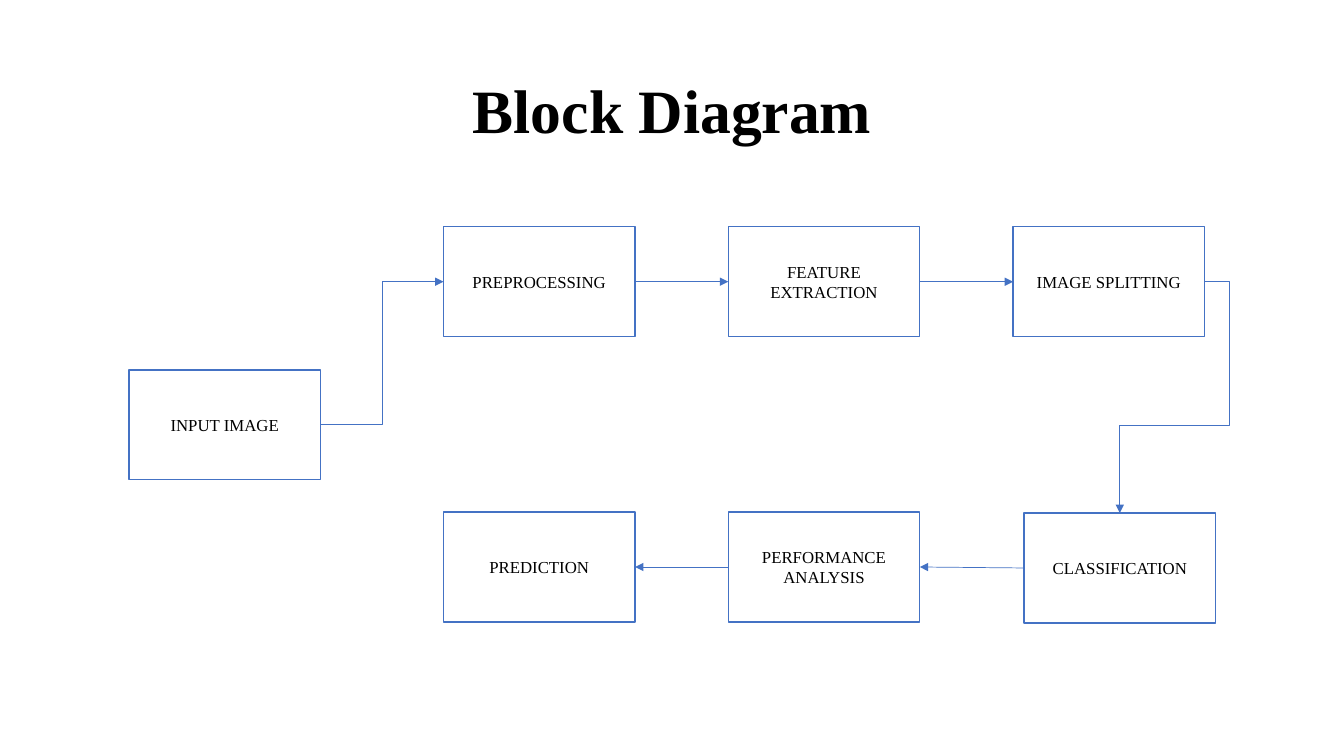
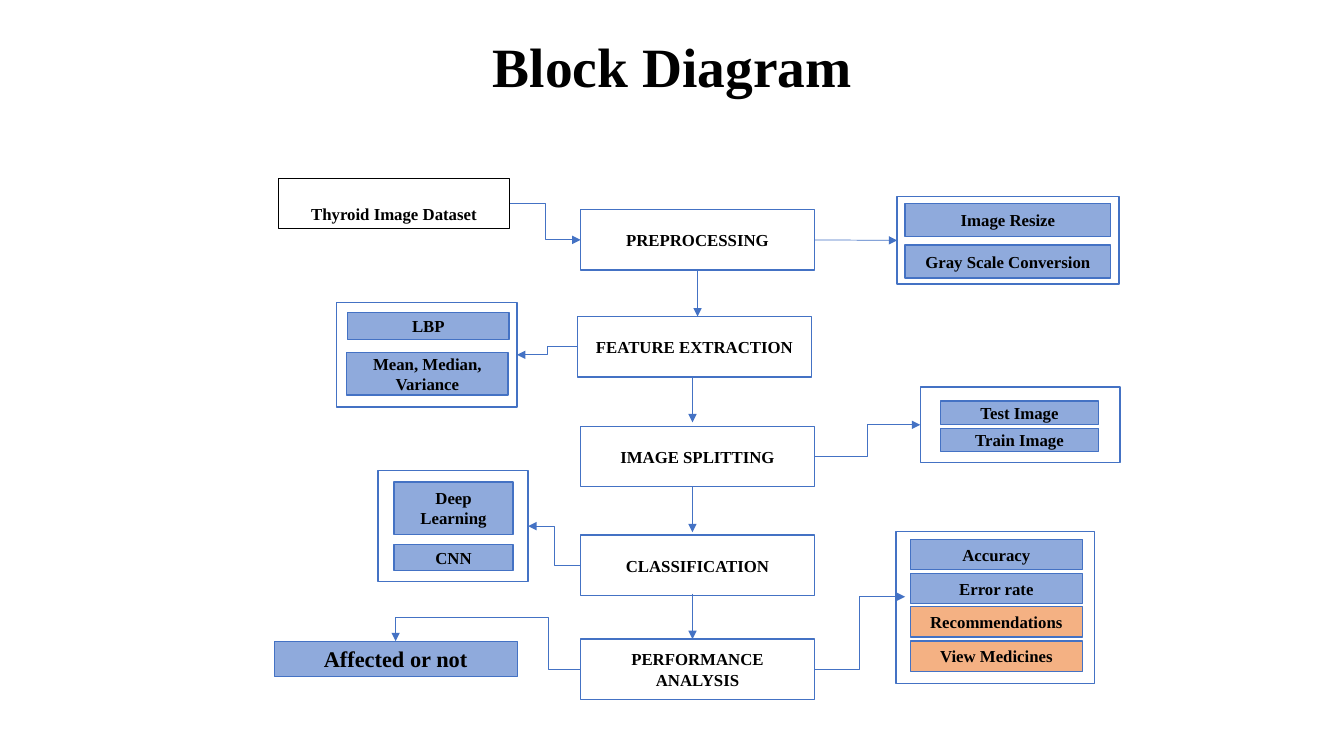
from dataclasses import dataclass
from typing import NamedTuple

from lxml import etree
from pptx import Presentation
from pptx.dml.color import RGBColor
from pptx.enum.shapes import MSO_CONNECTOR, MSO_SHAPE
from pptx.enum.text import MSO_ANCHOR, PP_ALIGN
from pptx.oxml.ns import qn
from pptx.util import Inches, Pt

STRAIGHT, ELBOW = MSO_CONNECTOR.STRAIGHT, MSO_CONNECTOR.ELBOW
RECTANGLE = MSO_SHAPE.RECTANGLE
MIDDLE, BOTTOM_ANCHOR = MSO_ANCHOR.MIDDLE, MSO_ANCHOR.BOTTOM
CENTER = PP_ALIGN.CENTER
TOP, LEFT, BOTTOM, RIGHT = range(4)

CELL = Inches(0.1)
COLUMNS, ROWS = 133.33, 75
FONT = "Times New Roman"
COLORS = {"ink": "000000", "paper": "FFFFFF", "line": "4472C4",
          "blue": "8FAADC", "orange": "F4B183"}


@dataclass(frozen=True)
class Block:
    text: str
    left: float
    top: float
    width: float
    height: float
    fill: str = "paper"
    line: str = "line"
    weight: float = 1
    size: float = 12
    bold: bool = True
    anchor: MSO_ANCHOR = MIDDLE
    name: str = ""


class Port(NamedTuple):
    block: str
    side: int


class Point(NamedTuple):
    column: float
    row: float


@dataclass(frozen=True)
class Arrow:
    start: Port | Point
    end: Port | Point
    kind: MSO_CONNECTOR = STRAIGHT
    bends: tuple[int, ...] = ()


def cells(count: float) -> int:
    return round(count * CELL)


def color(name: str) -> RGBColor:
    return RGBColor.from_string(COLORS[name])


def write(box, text: str, size: float, bold: bool, anchor: MSO_ANCHOR):
    frame = box.text_frame
    frame.word_wrap = True
    frame.vertical_anchor = anchor
    frame.text = text
    para = frame.paragraphs[0]
    para.alignment = CENTER
    for span in para.runs:
        span.font.name = FONT
        span.font.size = Pt(size)
        span.font.bold = bold
        span.font.color.rgb = color("ink")
    return para


def draw_title(page, height: float, size: float) -> None:
    box = page.shapes.add_textbox(cells(9.2), cells(4), cells(115), cells(height))
    para = write(box, "Block Diagram", size, True, MIDDLE)
    para.line_spacing = 0.9


def draw_block(page, block: Block):
    box = page.shapes.add_shape(RECTANGLE, cells(block.left), cells(block.top),
                                cells(block.width), cells(block.height))
    box.shadow.inherit = False
    box.fill.solid()
    box.fill.fore_color.rgb = color(block.fill)
    box.line.color.rgb = color(block.line)
    box.line.width = Pt(block.weight)
    if block.text:
        write(box, block.text, block.size, block.bold, block.anchor)
    return box


def draw_arrow(page, boxes: dict, arrow: Arrow) -> None:
    start, end = (
        (0, 0) if isinstance(place, Port) else (cells(place.column), cells(place.row))
        for place in (arrow.start, arrow.end))
    connector = page.shapes.add_connector(arrow.kind, *start, *end)
    for place, join in ((arrow.start, connector.begin_connect),
                        (arrow.end, connector.end_connect)):
        if isinstance(place, Port):
            join(boxes[place.block], place.side)
    connector.line.color.rgb = color("line")
    connector.line.width = Pt(0.5)
    properties = connector._element.spPr
    etree.SubElement(properties.find(qn("a:ln")), qn("a:tailEnd"), type="triangle")
    etree.SubElement(properties, qn("a:effectLst"))
    frame = properties.find(qn("a:xfrm"))
    if frame.get("flipH") == "1" and frame.get("flipV") == "1":
        del frame.attrib["flipH"], frame.attrib["flipV"]
        frame.set("rot", "10800000")
    if arrow.bends:
        geometry = properties.find(qn("a:prstGeom"))
        geometry.set("prst", "bentConnector4")
        guides = geometry.find(qn("a:avLst"))
        for number, bend in enumerate(arrow.bends, 1):
            etree.SubElement(guides, qn("a:gd"), name=f"adj{number}", fmla=f"val {bend}")


def draw_diagram(page, blocks: list[Block], arrows: list[Arrow]) -> None:
    boxes = {block.name or block.text: draw_block(page, block) for block in blocks}
    for arrow in arrows:
        draw_arrow(page, boxes, arrow)


def stack(texts: list[str], left: float, top: float, width: float, height: float,
          pitch: float, fill: str = "blue") -> list[Block]:
    return [Block(text, left, top + index * pitch, width, height, fill)
            for index, text in enumerate(texts)]


def panel(name: str, left: float, top: float, width: float, height: float) -> Block:
    return Block("", left, top, width, height, name=name)


PREPROCESSING, FEATURES, SPLITTING = "PREPROCESSING", "FEATURE EXTRACTION", "IMAGE SPLITTING"
CLASSIFICATION, ANALYSIS = "CLASSIFICATION", "PERFORMANCE ANALYSIS"
INPUT, PREDICTION = "INPUT IMAGE", "PREDICTION"
DATASET, RESULT = "Thyroid Image Dataset", "Affected or not"

PIPELINE_BLOCKS = [
    Block(text, left, top, 19, 10.9, bold=False)
    for text, left, top in (
        (PREPROCESSING, 44, 22.5), (FEATURES, 72.25, 22.5), (SPLITTING, 100.5, 22.5),
        (CLASSIFICATION, 101.6, 50.9), (ANALYSIS, 72.25, 50.8), (PREDICTION, 44, 50.8),
        (INPUT, 12.8, 36.7))
]
PIPELINE_ARROWS = [
    Arrow(Port(INPUT, RIGHT), Port(PREPROCESSING, LEFT), ELBOW),
    Arrow(Port(PREPROCESSING, RIGHT), Port(FEATURES, LEFT)),
    Arrow(Port(FEATURES, RIGHT), Port(SPLITTING, LEFT)),
    Arrow(Port(SPLITTING, RIGHT), Port(CLASSIFICATION, TOP), ELBOW, (-29600, 61900)),
    Arrow(Port(CLASSIFICATION, LEFT), Port(ANALYSIS, RIGHT)),
    Arrow(Port(ANALYSIS, LEFT), Port(PREDICTION, RIGHT)),
]

DETAIL_BLOCKS = [
    Block(DATASET, 27.6, 17.7, 23, 5, line="ink", weight=0.75, anchor=BOTTOM_ANCHOR),
    *(Block(text, left, top, 23.2, 6) for text, left, top in (
        (PREPROCESSING, 57.6, 20.8), (FEATURES, 57.3, 31.4), (SPLITTING, 57.6, 42.3),
        (CLASSIFICATION, 57.6, 53.1), (ANALYSIS, 57.6, 63.4))),
    panel("cleaning", 89, 19.5, 22, 8.7),
    *stack(["Image Resize", "Gray Scale Conversion"], 89.8, 20.2, 20.4, 3.3, 4.1),
    panel("measures", 33.4, 30, 17.9, 10.4),
    Block("LBP", 34.5, 31, 16, 2.7, "blue"),
    Block("Mean, Median, Variance", 34.4, 35, 16, 4.2, "blue"),
    panel("subsets", 91.3, 38.4, 19.8, 7.5),
    *stack(["Test Image", "Train Image"], 93.3, 39.8, 15.7, 2.3, 2.7),
    panel("models", 37.5, 46.7, 14.9, 11),
    Block("Deep Learning", 39.1, 47.8, 11.8, 5.2, "blue"),
    Block("CNN", 39.1, 54, 11.8, 2.6, "blue"),
    panel("outcomes", 88.9, 52.7, 19.7, 15.1),
    *stack(["Accuracy", "Error rate"], 90.3, 53.5, 17.1, 3, 3.4),
    *stack(["Recommendations", "View Medicines"], 90.3, 60.2, 17.1, 3, 3.4, "orange"),
    Block(RESULT, 27.2, 63.6, 24.1, 3.5, "blue", weight=0.75, size=16),
]
DETAIL_ARROWS = [
    Arrow(Port(DATASET, RIGHT), Port(PREPROCESSING, LEFT), ELBOW),
    Arrow(Port(PREPROCESSING, RIGHT), Port("cleaning", LEFT)),
    Arrow(Port(PREPROCESSING, BOTTOM), Point(69.2, 31.4)),
    *(Arrow(Point(68.7, top), Point(68.7, top + 4.5)) for top in (37.4, 48.3, 58.9)),
    Arrow(Port(FEATURES, LEFT), Port("measures", RIGHT), ELBOW),
    Arrow(Port(SPLITTING, RIGHT), Port("subsets", LEFT), ELBOW),
    Arrow(Port(CLASSIFICATION, LEFT), Port("models", RIGHT), ELBOW),
    Arrow(Port(ANALYSIS, LEFT), Port(RESULT, TOP), ELBOW, (17200, 183500)),
    Arrow(Port(ANALYSIS, RIGHT), Point(89.8, 59.2), ELBOW),
]


def main() -> None:
    deck = Presentation()
    deck.slide_width, deck.slide_height = cells(COLUMNS), cells(ROWS)
    for title_height, title_size, blocks, arrows in (
            (14.5, 44, PIPELINE_BLOCKS, PIPELINE_ARROWS),
            (5.8, 39.6, DETAIL_BLOCKS, DETAIL_ARROWS)):
        page = deck.slides.add_slide(deck.slide_layouts[6])
        draw_title(page, title_height, title_size)
        draw_diagram(page, blocks, arrows)
    deck.save("out.pptx")


if __name__ == "__main__":
    main()
